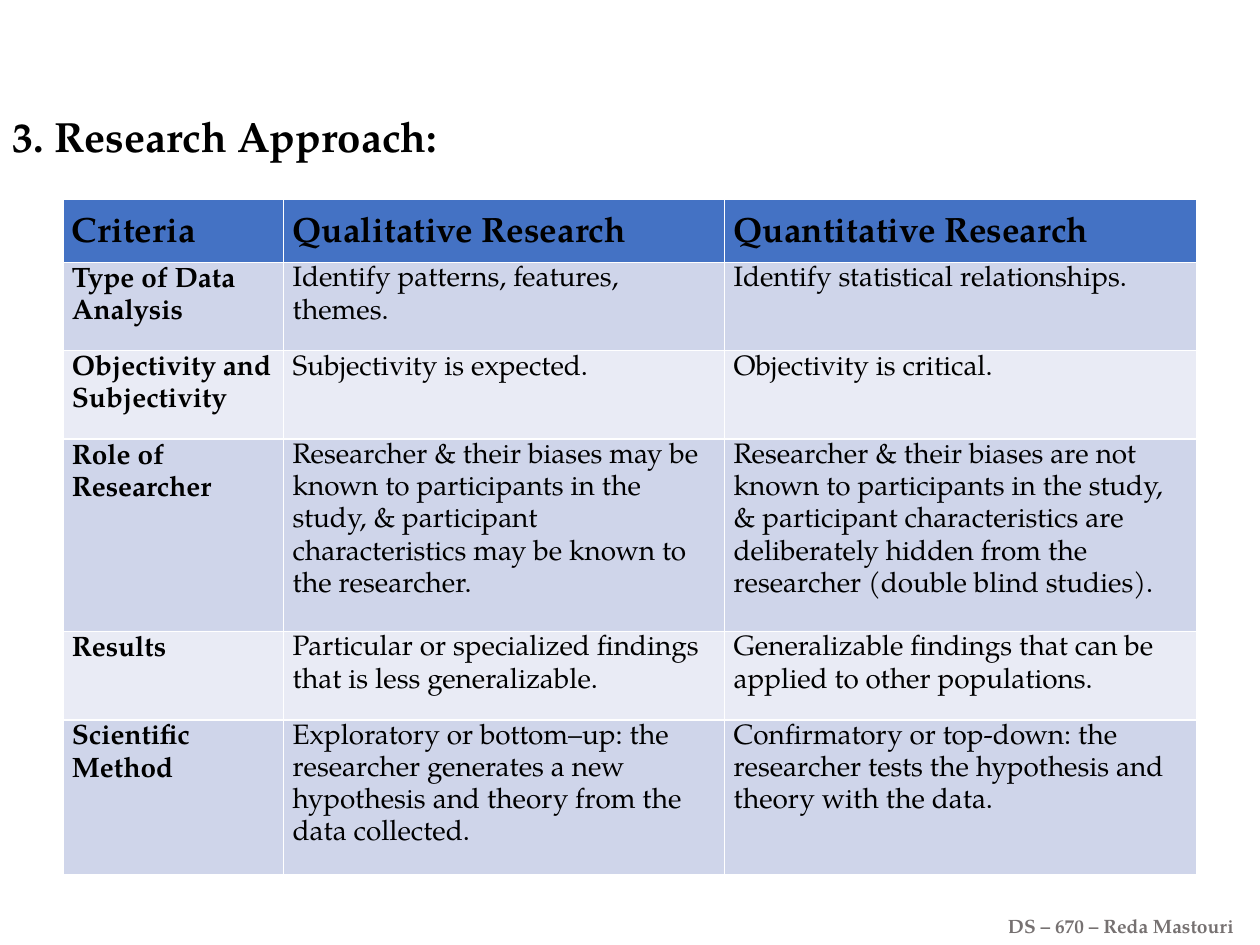
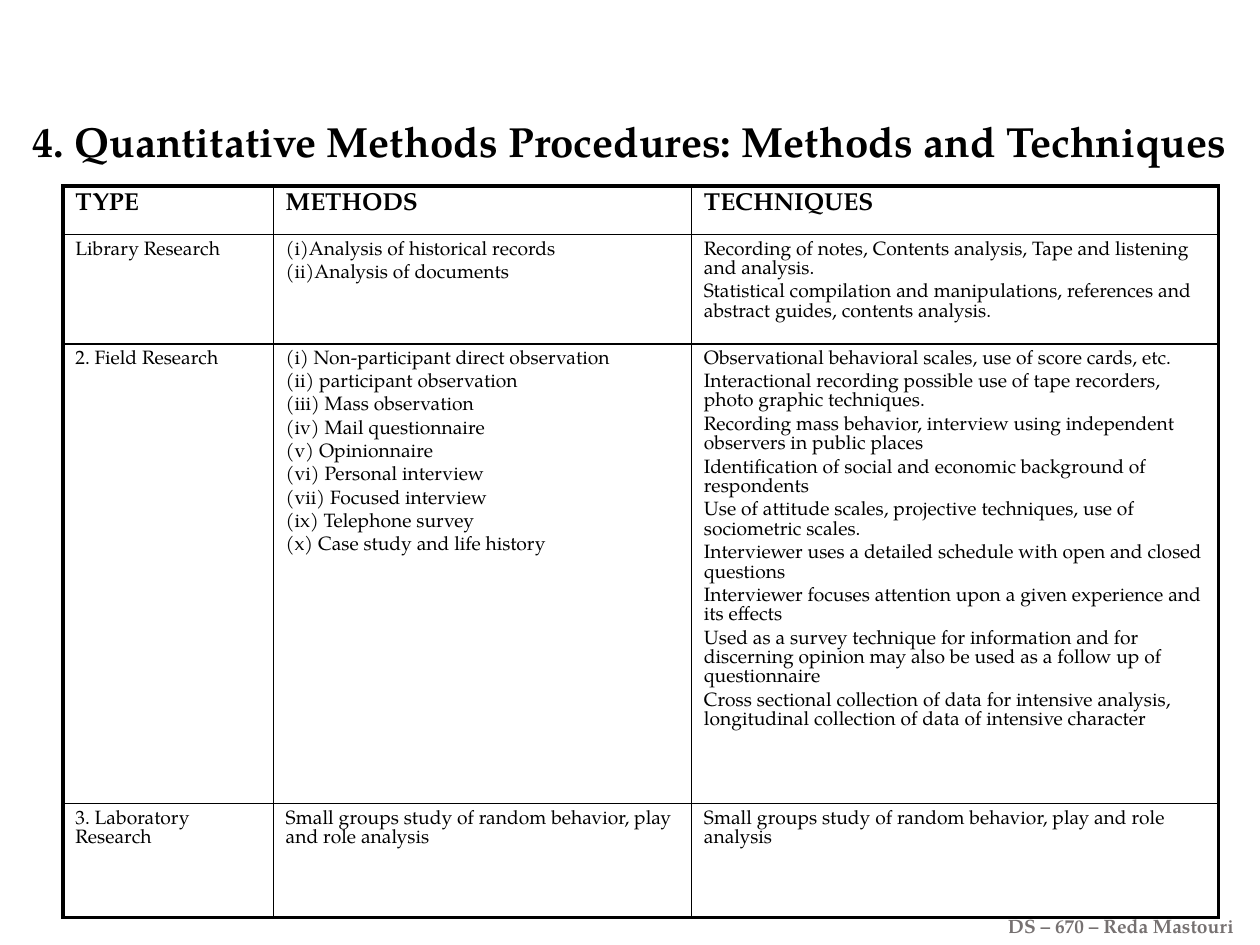
import dataclasses

import lxml.etree
import pptx
import pptx.dml.color
import pptx.enum.text
import pptx.oxml.ns
import pptx.util

Cm = pptx.util.Cm
Pt = pptx.util.Pt
Anchor = pptx.enum.text.MSO_ANCHOR


@dataclasses.dataclass(frozen=True)
class Theme:
    font: str = "TeX Gyre Pagella"
    ink: str = "000000"
    grey: str = "767171"
    white: str = "FFFFFF"
    head: str = "4472C4"
    bands: tuple = ("CFD5EA", "E9EBF5")
    title: int = 24
    foot: int = 11
    thin: float = 1
    thick: float = 2.25


@dataclasses.dataclass(frozen=True)
class Look:
    """How one table is set: type sizes, line pitch, insets and rules."""
    head: int
    body: int
    pitch: float
    gap: float
    side: float
    top: float
    rule: str
    frame: float
    filled: bool


class Deck:
    def __init__(self, theme):
        self.theme = theme
        self.prs = pptx.Presentation()
        self.prs.slide_width = Cm(25.4)
        self.prs.slide_height = Cm(19.05)
        self.slide = None

    def page(self, title, left, top):
        layout = self.prs.slide_layouts[5]
        self.slide = self.prs.slides.add_slide(layout)
        self.footer()
        self.title(title, left, top)

    def style(self, par, size, color, bold):
        par.alignment = pptx.enum.text.PP_ALIGN.LEFT
        par.font.name = self.theme.font
        par.font.size = Pt(size)
        par.font.bold = bold
        par.font.color.rgb = pptx.dml.color.RGBColor.from_string(color)

    def title(self, text, left, top):
        shape = self.slide.shapes.title
        shape.left, shape.top = Cm(left), Cm(top)
        shape.width, shape.height = Cm(25), Cm(1.27)
        frame = shape.text_frame
        frame.text = text
        frame.auto_size = pptx.enum.text.MSO_AUTO_SIZE.NONE
        frame.vertical_anchor = Anchor.TOP
        self.style(frame.paragraphs[0], self.theme.title, self.theme.ink, True)

    def footer(self):
        box = self.slide.shapes.add_textbox(Cm(20.07), Cm(18.31), Cm(5.33), Cm(0.74))
        frame = box.text_frame
        frame.word_wrap = True
        frame.text = "DS – 670 – Reda Mastouri"
        self.style(frame.paragraphs[0], self.theme.foot, self.theme.grey, True)

    def table(self, rows, top, widths, heights, look, bold):
        """Draw rows of text; bold makes the first column bold too."""
        shape = self.slide.shapes.add_table(
            len(rows), len(widths), Cm(1.27), Cm(top), Cm(sum(widths)), Cm(sum(heights)))
        grid = shape.table
        grid.first_row = grid.horz_banding = False
        for col, width in zip(grid.columns, widths):
            col.width = Cm(width)
        for line, height in zip(grid.rows, heights):
            line.height = Cm(height)
        for r, row in enumerate(rows):
            for c, text in enumerate(row):
                cell = grid.cell(r, c)
                self.label(cell, text, look, r == 0, r == 0 or (bold and c == 0))
                self.paint(cell, r, look)
                ends = {"L": c == 0, "R": c == len(widths) - 1,
                        "T": r == 0, "B": r == len(rows) - 1}
                self.rules(cell, ends, look)

    def label(self, cell, text, look, head, bold):
        cell.margin_left = cell.margin_right = Cm(look.side)
        cell.margin_top = cell.margin_bottom = Cm(look.top)
        cell.vertical_anchor = Anchor.MIDDLE if head and look.filled else Anchor.TOP
        cell.text = text
        size = look.head if head else look.body
        for i, par in enumerate(cell.text_frame.paragraphs):
            self.style(par, size, self.theme.ink, bold)
            par.line_spacing = Pt(size * look.pitch)
            par.space_before = Pt(size * look.gap if i else 0)

    def paint(self, cell, row, look):
        if not look.filled:
            cell.fill.background()
            return
        color = self.theme.bands[(row - 1) % 2] if row else self.theme.head
        cell.fill.solid()
        cell.fill.fore_color.rgb = pptx.dml.color.RGBColor.from_string(color)

    def rules(self, cell, ends, look):
        """Draw the four borders; ends tells which lie on the table's frame."""
        qn = pptx.oxml.ns.qn
        props = cell._tc.get_or_add_tcPr()
        for i, (side, outer) in enumerate(ends.items()):
            width = Pt(look.frame if outer else self.theme.thin)
            line = lxml.etree.Element(qn(f"a:ln{side}"), w=str(int(width)))
            fill = lxml.etree.SubElement(line, qn("a:solidFill"))
            lxml.etree.SubElement(fill, qn("a:srgbClr"), val=look.rule)
            props.insert(i, line)


APPROACH = [
    ("Criteria", "Qualitative Research", "Quantitative Research"),
    ("Type of Data Analysis", "Identify patterns, features, themes.",
     "Identify statistical relationships."),
    ("Objectivity and Subjectivity", "Subjectivity is expected.",
     "Objectivity is critical."),
    ("Role of Researcher",
     "Researcher & their biases may be known to participants in the study, "
     "& participant characteristics may be known to the researcher.",
     "Researcher & their biases are not known to participants in the study, "
     "& participant characteristics are deliberately hidden from the "
     "researcher (double blind studies)."),
    ("Results", "Particular or specialized findings that is less generalizable.",
     "Generalizable findings that can be applied to other populations."),
    ("Scientific Method",
     "Exploratory or bottom–up: the researcher generates a new hypothesis "
     "and theory from the data collected.",
     "Confirmatory or top-down: the researcher tests the hypothesis and "
     "theory with the data."),
]

GROUPS = "Small groups study of random behavior, play and role analysis"
METHODS = [
    ("TYPE", "METHODS", "TECHNIQUES"),
    ("Library Research",
     "(i)Analysis of historical records\n(ii)Analysis of documents",
     "Recording of notes, Contents analysis, Tape and listening and analysis.\n"
     "Statistical compilation and manipulations, references and abstract "
     "guides, contents analysis."),
    ("2. Field Research",
     "(i) Non-participant direct observation\n"
     "(ii) participant observation\n"
     "(iii) Mass observation\n"
     "(iv) Mail questionnaire\n"
     "(v) Opinionnaire\n"
     "(vi) Personal interview\n"
     "(vii) Focused interview\n"
     "(ix) Telephone survey\n"
     "(x) Case study and life history",
     "Observational behavioral scales, use of score cards, etc.\n"
     "Interactional recording possible use of tape recorders, photo graphic "
     "techniques.\n"
     "Recording mass behavior, interview using independent observers in "
     "public places\n"
     "Identification of social and economic background of respondents\n"
     "Use of attitude scales, projective techniques, use of sociometric scales.\n"
     "Interviewer uses a detailed schedule with open and closed questions\n"
     "Interviewer focuses attention upon a given experience and its effects\n"
     "Used as a survey technique for information and for discerning opinion "
     "may also be used as a follow up of questionnaire\n"
     "Cross sectional collection of data for intensive analysis, longitudinal "
     "collection of data of intensive character"),
    ("3. Laboratory Research", GROUPS, GROUPS),
]


def main():
    theme = Theme()
    deck = Deck(theme)
    banded = Look(head=20, body=16, pitch=1.15, gap=0, side=0.18, top=0,
                  rule=theme.white, frame=theme.thin, filled=True)
    ruled = Look(head=14, body=11, pitch=1.01, gap=0.2, side=0.25, top=0.13,
                 rule=theme.ink, frame=theme.thick, filled=False)

    deck.page("3. Research Approach:", 0, 2.11)
    deck.table(APPROACH, 4.02, (4.45, 8.89, 9.52),
               (1.27, 1.78, 1.78, 3.88, 1.78, 3.12), banded, bold=True)

    deck.page("4. Quantitative Methods Procedures: Methods and Techniques", 0.4, 2.21)
    deck.table(METHODS, 3.75, (4.24, 8.43, 10.62),
               (0.98, 2.2, 9.27, 2.29), ruled, bold=False)

    deck.prs.save("out.pptx")


if __name__ == "__main__":
    main()
